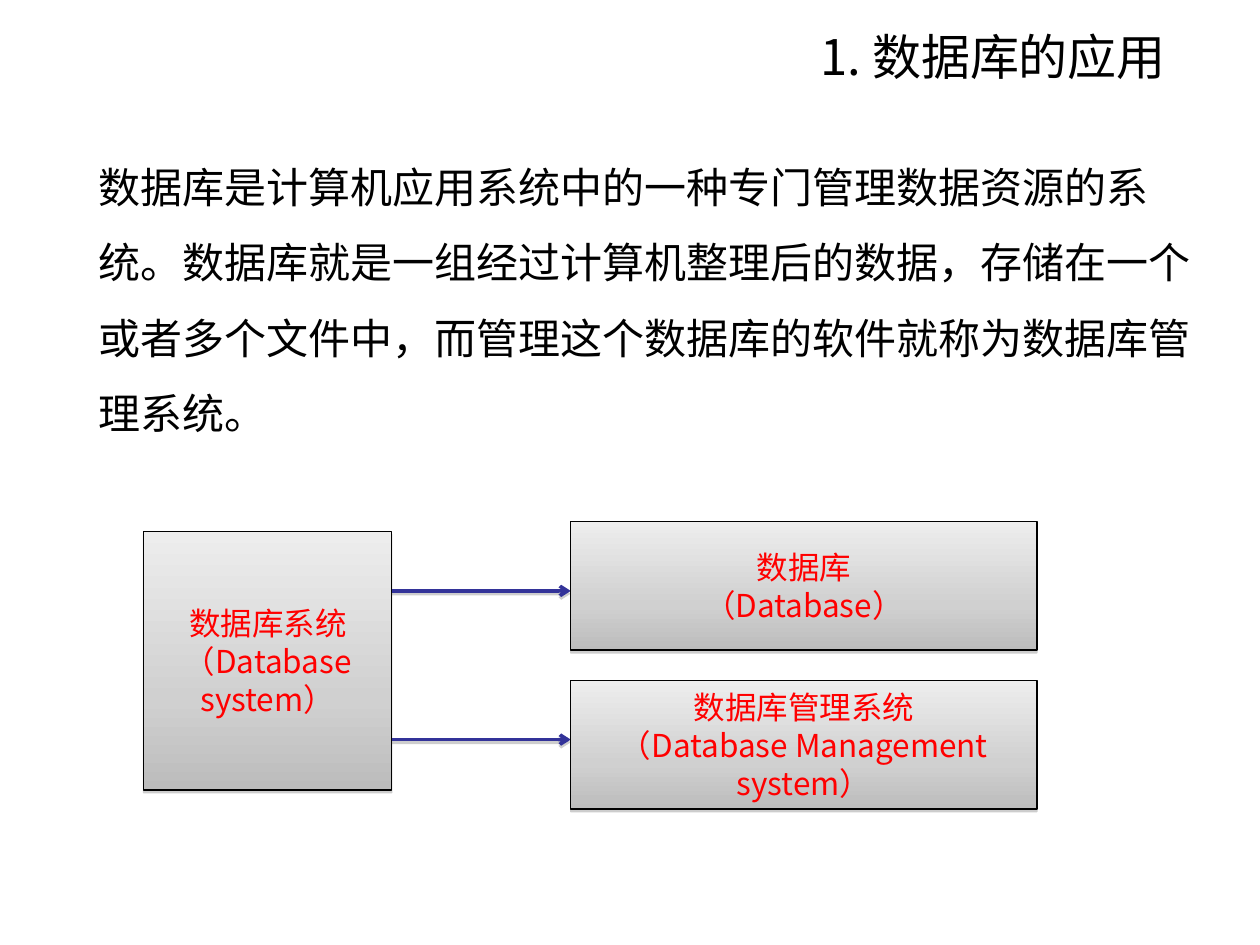
from lxml.etree import SubElement
from pptx import Presentation
from pptx.dml.color import RGBColor
from pptx.enum.shapes import MSO_CONNECTOR, MSO_SHAPE
from pptx.enum.text import MSO_ANCHOR, PP_ALIGN
from pptx.oxml.ns import qn
from pptx.util import Inches, Pt

FONT = "Noto Sans CJK SC"
BLACK, RED, INDIGO, GRAY = "000000", "FF0000", "333399", "808080"
GRADIENT = [(0, "EDEDED"), (65, "D0D0D0"), (100, "BCBCBC")]


def color(value):
    return RGBColor.from_string(value)


def add_run(paragraph, text, size, value):
    run = paragraph.add_run()
    run.text = text
    run.font.size = Pt(size)
    run.font.name = FONT
    run.font.color.rgb = color(value)
    SubElement(run.font._element, qn("a:ea"), typeface=FONT)


def add_text_box(slide, left, top, width, height):
    shape = slide.shapes.add_textbox(
        Inches(left), Inches(top), Inches(width), Inches(height)
    )
    shape.text_frame.word_wrap = True
    return shape.text_frame


def add_shadow(effects):
    shadow = SubElement(
        effects, qn("a:outerShdw"), blurRad="0", dist=str(Pt(1.6)),
        dir="5400000", algn="ctr", rotWithShape="0",
    )
    shade = SubElement(shadow, qn("a:srgbClr"), val=GRAY)
    SubElement(shade, qn("a:alpha"), val="38000")


def add_title(slide, left, top, width, height, text):
    frame = add_text_box(slide, left, top, width, height)
    frame.vertical_anchor = MSO_ANCHOR.MIDDLE
    paragraph = frame.paragraphs[0]
    paragraph.alignment = PP_ALIGN.RIGHT
    add_run(paragraph, text, 28, BLACK)


def add_body(slide, left, top, width, height, text):
    frame = add_text_box(slide, left, top, width, height)
    paragraph = frame.paragraphs[0]
    paragraph.line_spacing = 1.5
    paragraph.space_before = Pt(5)
    properties = paragraph._p.get_or_add_pPr()
    properties.set("marL", str(Inches(0.38)))
    properties.set("indent", "0")
    properties.set("hangingPunct", "0")
    add_run(paragraph, text, 24, BLACK)


def add_gradient(shape):
    shape.fill.gradient()
    shape.fill.gradient_angle = 270
    stops = shape._element.spPr.xpath(".//a:gsLst")[0]
    for stop in list(stops):
        stops.remove(stop)
    for position, value in GRADIENT:
        stop = SubElement(stops, qn("a:gs"), pos=str(position * 1000))
        SubElement(stop, qn("a:srgbClr"), val=value)


def add_box(slide, left, top, width, height, lines):
    shape = slide.shapes.add_shape(
        MSO_SHAPE.RECTANGLE, Inches(left), Inches(top), Inches(width), Inches(height)
    )
    add_gradient(shape)
    shape.line.color.rgb = color(BLACK)
    shape.line.width = Pt(0.75)
    shape.shadow.inherit = False
    add_shadow(shape._element.spPr.find(qn("a:effectLst")))
    frame = shape.text_frame
    frame.word_wrap = True
    frame.vertical_anchor = MSO_ANCHOR.MIDDLE
    for index, line in enumerate(lines):
        paragraph = frame.add_paragraph() if index else frame.paragraphs[0]
        paragraph.alignment = PP_ALIGN.CENTER
        add_run(paragraph, line, 18, RED)


def add_arrow(slide, start, end, y):
    connector = slide.shapes.add_connector(
        MSO_CONNECTOR.STRAIGHT, Inches(start), Inches(y), Inches(end), Inches(y)
    )
    connector.line.color.rgb = color(INDIGO)
    connector.line.width = Pt(2)
    SubElement(connector.line._get_or_add_ln(), qn("a:tailEnd"), type="arrow")
    add_shadow(SubElement(connector._element.spPr, qn("a:effectLst")))


def add_diagram(slide, left, top, width, height):
    system_width, part_width, part_height = 1.97, 3.7, 1.02
    part_left = left + width - part_width
    system_inset, arrow_inset = 0.08, 0.55
    add_box(
        slide, left, top + system_inset, system_width, 2.05,
        ["数据库系统", "（Database system）"],
    )
    for y in (top + arrow_inset, top + height - arrow_inset):
        add_arrow(slide, left + system_width, part_left, y)
    parts = [
        (top, ["数据库", "（Database）"]),
        (top + height - part_height, ["数据库管理系统", "（Database Management system）"]),
    ]
    for part_top, lines in parts:
        add_box(slide, part_left, part_top, part_width, part_height, lines)


def main():
    presentation = Presentation()
    presentation.slide_width = Inches(10)
    presentation.slide_height = Inches(7.5)
    slide = presentation.slides.add_slide(presentation.slide_layouts[6])
    add_title(slide, 2.24, 0.13, 7.11, 0.62, "1. 数据库的应用")
    add_body(
        slide, 0.3, 1.03, 9.28, 5.39,
        "数据库是计算机应用系统中的一种专门管理数据资源的系统。"
        "数据库就是一组经过计算机整理后的数据，存储在一个或者多个文件中，"
        "而管理这个数据库的软件就称为数据库管理系统。",
    )
    add_diagram(slide, 1.14, 4.14, 7.09, 2.28)
    presentation.save("out.pptx")


if __name__ == "__main__":
    main()
